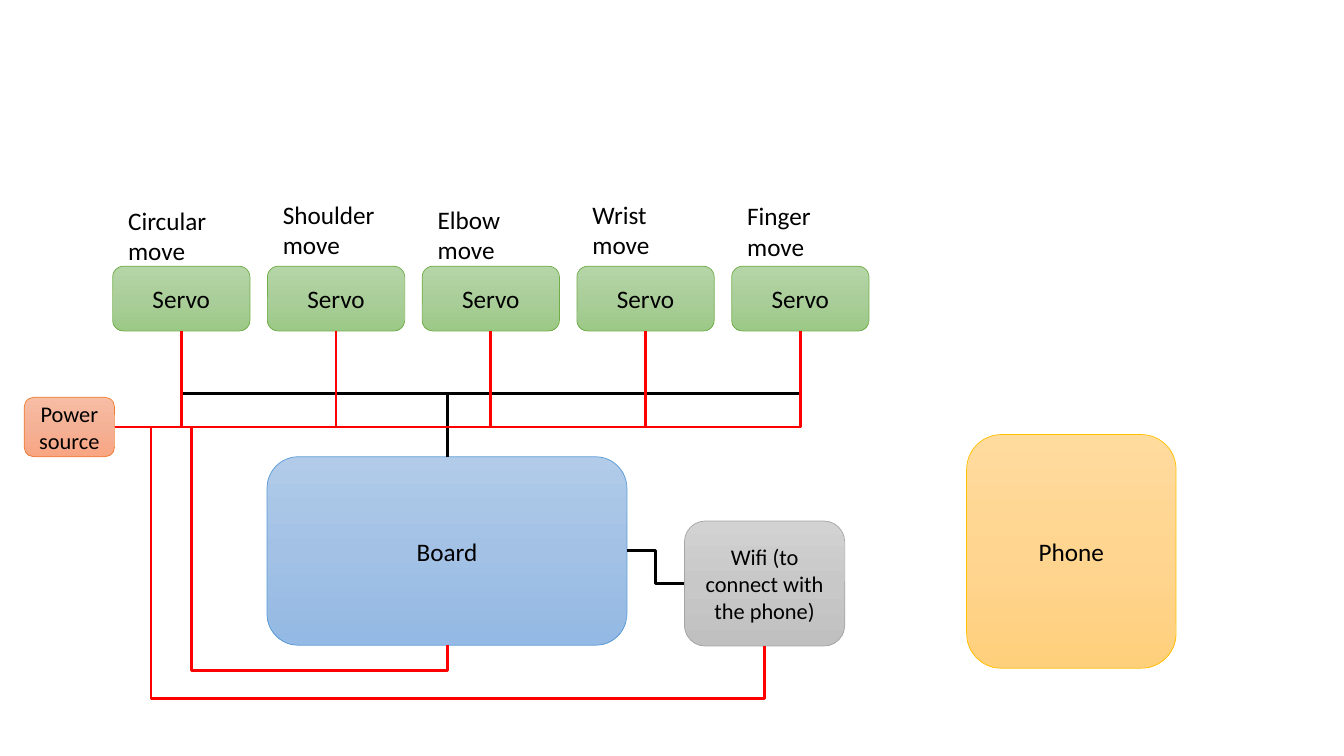
from copy import deepcopy

from lxml.etree import SubElement
from pptx import Presentation
from pptx.dml.color import RGBColor
from pptx.enum.shapes import MSO_CONNECTOR, MSO_SHAPE
from pptx.enum.text import MSO_ANCHOR, MSO_AUTO_SIZE, PP_ALIGN
from pptx.oxml.ns import qn
from pptx.util import Cm, Pt

BLACK = RGBColor(0x00, 0x00, 0x00)
RED = RGBColor(0xFF, 0x00, 0x00)


def tones(*codes):
    return [RGBColor.from_string(code) for code in codes]


GREEN = tones("B5D5A7", "AACE9A", "9CC987", "70AD47")
BLUE = tones("B1CBE9", "A3C1E5", "93B9E4", "5B9BD5")
ORANGE = tones("F7BDA5", "F5B196", "F8A582", "ED7D31")
GREY = tones("D2D2D2", "C8C8C8", "C0C0C0", "A5A5A5")
GOLD = tones("FFDB9E", "FFD590", "FFD07C", "FFC000")

MOVES = [
    ("Circular move", 5.05),
    ("Shoulder move", 4.9),
    ("Elbow move", 5.03),
    ("Wrist move", 4.9),
    ("Finger move", 4.93),
]
LEFT, PITCH, WIDTH = 2.84, 3.9, 3.46
TOP, HEIGHT = 6.71, 1.63


def write(frame, text, size, align):
    frame.word_wrap = True
    para = frame.paragraphs[0]
    para.text = text
    para.alignment = align
    para.font.name = "Calibri"
    para.font.size = Pt(size)
    para.font.color.rgb = BLACK


def shade(shape, colors):
    fill = shape.fill
    fill.gradient()
    fill.gradient_angle = 270
    first = shape._element.spPr.find(".//" + qn("a:gs"))
    first.addnext(deepcopy(first))
    for stop, color, place in zip(fill.gradient_stops, colors, (0, 0.5, 1)):
        stop.color.rgb = color
        stop.position = place


def add_box(slide, text, area, colors, size=18):
    box = slide.shapes.add_shape(
        MSO_SHAPE.ROUNDED_RECTANGLE, *[Cm(n) for n in area])
    box.shadow.inherit = False
    shade(box, colors)
    box.line.color.rgb = colors[3]
    box.line.width = Pt(0.5)
    box.text_frame.vertical_anchor = MSO_ANCHOR.MIDDLE
    write(box.text_frame, text, size, PP_ALIGN.CENTER)


def add_label(slide, text, left, top):
    label = slide.shapes.add_textbox(Cm(left), Cm(top), Cm(3.18), Cm(1.8))
    write(label.text_frame, text, 18, PP_ALIGN.LEFT)
    label.text_frame.auto_size = MSO_AUTO_SIZE.SHAPE_TO_FIT_TEXT


def add_wire(slide, start, end, color, bends=3, ratios=()):
    wire = slide.shapes.add_connector(
        MSO_CONNECTOR.ELBOW, *[Cm(n) for n in start + end])
    wire.line.color.rgb = color
    wire.line.width = Pt(2)
    props = wire._element.spPr
    SubElement(props, qn("a:effectLst"))
    shape = props.find(qn("a:prstGeom"))
    shape.set("prst", f"bentConnector{bends}")
    guides = shape.find(qn("a:avLst"))
    for index, ratio in enumerate(ratios, 1):
        guide = SubElement(guides, qn("a:gd"))
        guide.set("name", f"adj{index}")
        guide.set("fmla", f"val {round(ratio * 100000)}")
    return wire


def add_drop(slide, start, end, color):
    (x1, y1), (x2, y2) = start, end
    mid_x, mid_y = (x1 + x2) / 2, (y1 + y2) / 2
    side = 1 if x2 < x1 else -1
    half_w, half_h = side * (y2 - y1) / 2, abs(x2 - x1) / 2
    wire = add_wire(slide, (mid_x - half_w, mid_y - half_h),
                    (mid_x + half_w, mid_y + half_h), color)
    turn = 90 if side == 1 else 270
    wire._element.spPr.find(qn("a:xfrm")).set("rot", str(turn * 60000))


def main():
    deck = Presentation()
    deck.slide_width, deck.slide_height = Cm(33.87), Cm(19.05)
    slide = deck.slides.add_slide(deck.slide_layouts[6])

    for index, (move, top) in enumerate(MOVES):
        left = LEFT + index * PITCH
        add_box(slide, "Servo", (left, TOP, WIDTH, HEIGHT), GREEN)
        add_label(slide, move, left + 0.14, top)
    add_box(slide, "Board", (6.73, 11.51, 9.07, 4.75), BLUE)
    add_box(slide, "Power source", (0.61, 10.01, 2.28, 1.5), ORANGE, 16)
    add_box(slide, "Wifi (to connect with the phone)",
            (17.25, 13.13, 4.04, 3.15), GREY, 16)
    add_box(slide, "Phone", (24.36, 10.95, 5.28, 5.89), GOLD)

    power = (2.89, 10.76)
    ports = [(LEFT + WIDTH / 2 + index * PITCH, TOP + HEIGHT)
             for index in range(len(MOVES))]
    for port in ports:
        add_drop(slide, port, (11.27, 11.51), BLACK)
    add_wire(slide, (17.25, 14.7), (15.8, 13.88), BLACK)
    add_wire(slide, power, (11.27, 16.26), RED, 4, (0.23, 1.115))
    for port in ports:
        add_wire(slide, power, port, RED, 2)
    add_wire(slide, power, (19.27, 16.28), RED, 4, (0.056, 1.241))

    deck.save("out.pptx")


if __name__ == "__main__":
    main()
